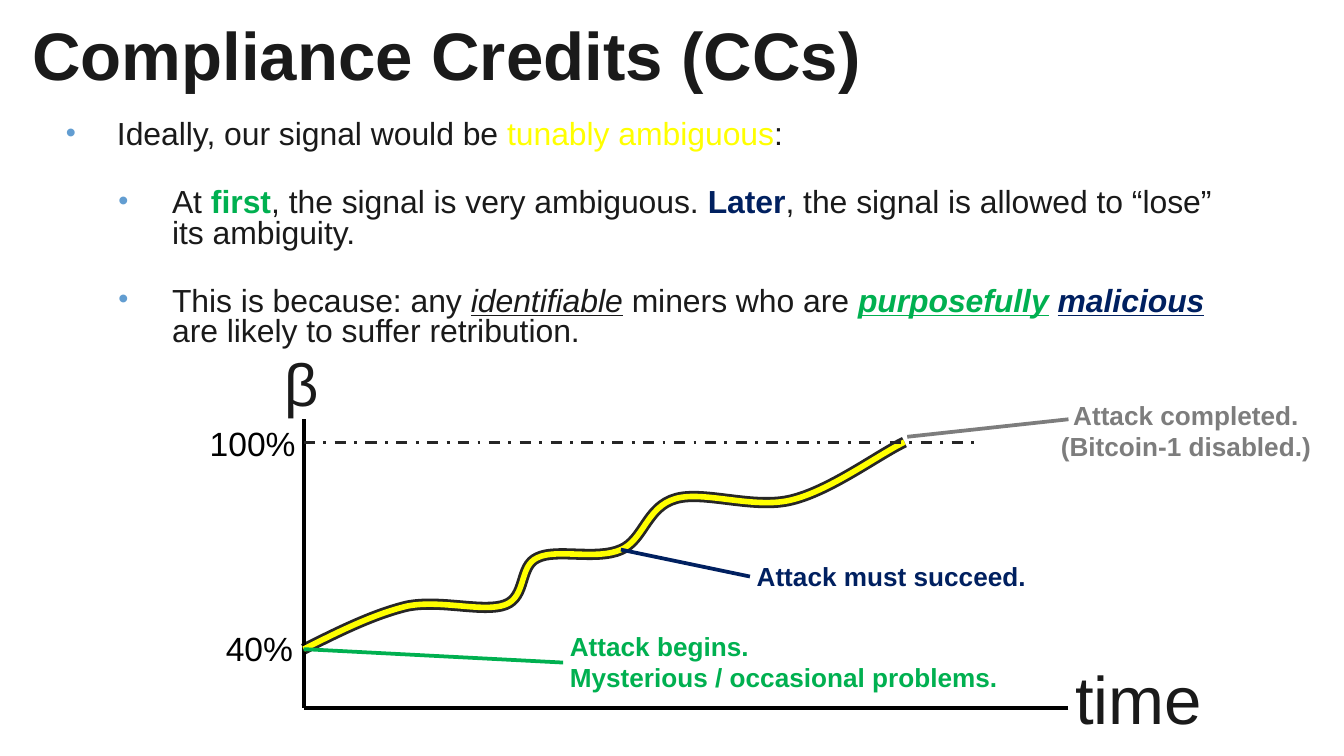
import pptx
import pptx.util
import pptx.dml.color
import pptx.enum.dml
import pptx.enum.shapes
import pptx.enum.text
from lxml import etree
from pptx.util import Inches, Pt

ALIGN = pptx.enum.text.PP_ALIGN
ANCHOR = pptx.enum.text.MSO_ANCHOR
DASH = pptx.enum.dml.MSO_LINE.DASH_DOT
A = "{http://schemas.openxmlformats.org/drawingml/2006/main}"


class Theme:
    font = "Arial"
    ink, black, dash = "1A1A1A", "000000", "262626"
    green, navy, gray = "00B050", "002060", "7D7D7D"
    yellow, dot = "FFFF00", "629DD1"
    title, beta, body, tick, note = 36, 32, 17.1, 18, 14


def rgb(code):
    return pptx.dml.color.RGBColor.from_string(code)


def style(font, size, color, bold=False):
    font.name, font.size, font.bold = Theme.font, Pt(size), bold
    font.color.rgb = rgb(color)


def setup(frame, anchor=ANCHOR.TOP, wrap=True):
    """Give a text frame its insets, anchor and wrapping."""
    frame.margin_left = frame.margin_right = Inches(0.05)
    frame.margin_top = frame.margin_bottom = Inches(0.05)
    frame.auto_size = pptx.enum.text.MSO_AUTO_SIZE.NONE
    frame.vertical_anchor, frame.word_wrap = anchor, wrap


def place(shape, box):
    shape.left, shape.top, shape.width, shape.height = map(Inches, box)


def label(slide, box, text, size, color, bold=False, align=ALIGN.LEFT,
          anchor=ANCHOR.TOP, wrap=False):
    frame = slide.shapes.add_textbox(*map(Inches, box)).text_frame
    setup(frame, anchor, wrap)
    para = frame.paragraphs[0]
    para.text, para.alignment = text, align
    style(para.font, size, color, bold)


def line(slide, start, end, color, width=2, dash=None):
    kind = pptx.enum.shapes.MSO_CONNECTOR.STRAIGHT
    link = slide.shapes.add_connector(kind, *map(Inches, start + end))
    link.line.color.rgb, link.line.width = rgb(color), Pt(width)
    if dash:
        link.line.dash_style = dash
    etree.SubElement(link._element.spPr, A + "effectLst")


def curve(slide, points, color, width):
    """Draw a Bezier path: a start, then two handles and an end per arc."""
    spots = [(Inches(x), Inches(y)) for x, y in points]
    maker = slide.shapes.build_freeform(*spots[0])
    maker.add_line_segments(spots[1:], close=False)
    shape = maker.convert_to_shape()
    shape.shadow.inherit = False
    shape.fill.background()
    shape.line.color.rgb, shape.line.width = rgb(color), Pt(width)
    steps = list(shape._element.iter(A + "lnTo"))
    trail = steps[0].getparent()
    for i in range(0, len(steps), 3):
        arc = etree.SubElement(trail, A + "cubicBezTo")
        for step in steps[i:i + 3]:
            arc.append(step[0])
            trail.remove(step)


def heading(slide, box):
    shape = slide.shapes.title
    place(shape, box)
    setup(shape.text_frame, ANCHOR.BOTTOM)
    para = shape.text_frame.paragraphs[0]
    para.text, para.alignment = "Compliance Credits (CCs)", ALIGN.LEFT
    style(para.font, Theme.title, Theme.ink, True)


def bullet(para, level):
    para.level = level
    para.line_spacing = 0.8
    props = para._p.get_or_add_pPr()
    left, hang = ((0.38, 0.38), (0.79, 0.4))[level]
    props.set("marL", str(Inches(left)))
    props.set("indent", str(-Inches(hang)))
    tint = etree.SubElement(props, A + "buClr")
    etree.SubElement(tint, A + "srgbClr", val=Theme.dot)
    etree.SubElement(props, A + "buSzPct", val="90000")
    etree.SubElement(props, A + "buFont", typeface=Theme.font)
    etree.SubElement(props, A + "buChar", char="•")


def points(slide, box):
    """Fill the body list; marks are b, i and u for bold, italic, underline."""
    shape = slide.placeholders[1]
    place(shape, box)
    frame = shape.text_frame
    setup(frame)
    ink, green, navy = Theme.ink, Theme.green, Theme.navy
    items = [
        (0, [("Ideally, our signal would be ", ink, ""),
             ("tunably ambiguous", Theme.yellow, ""), (":", ink, "")]),
        (1, [("At ", ink, ""), ("first", green, "b"),
             (", the signal is very ambiguous. ", ink, ""),
             ("Later", navy, "b"),
             (", the signal is allowed to “lose” its ambiguity.", ink, "")]),
        (1, [("This is because: any ", ink, ""), ("identifiable", ink, "iu"),
             (" ", ink, "i"), ("miners who are ", ink, ""),
             ("purposefully", green, "biu"), (" ", ink, "i"),
             ("malicious", navy, "biu"),
             (" are likely to suffer retribution.", ink, "")]),
    ]
    for i, (level, runs) in enumerate(items):
        para = frame.add_paragraph() if i else frame.paragraphs[0]
        para.space_before = Pt(20 if i else 0)
        bullet(para, level)
        style(para.font, Theme.body, ink)
        for text, color, marks in runs:
            run = para.add_run()
            run.text = text
            style(run.font, Theme.body, color, "b" in marks)
            run.font.italic, run.font.underline = "i" in marks, "u" in marks


def graph(slide, box):
    left, top, wide, high = box

    def at(x, y):
        return left + x, top + y

    def note(x, y, w, h, text, size, color, **more):
        label(slide, (*at(x, y), w, h), text, size, color, **more)

    full, low = 0.17, 1.71
    trail = [at(x, y) for x, y in [
        (0, low), (0.26, 1.58), (0.52, 1.45), (0.77, 1.39),
        (1.02, 1.34), (1.34, 1.44), (1.5, 1.38),
        (1.66, 1.32), (1.6, 1.09), (1.74, 1.03),
        (1.88, 0.96), (2.18, 1.05), (2.36, 0.97),
        (2.53, 0.9), (2.55, 0.65), (2.77, 0.59),
        (2.98, 0.53), (3.35, 0.67), (3.63, 0.6),
        (3.92, 0.53), (4.28, 0.26), (4.47, full)]]
    curve(slide, trail, Theme.dash, 6)
    line(slide, at(0, 0), at(0, high), Theme.black)
    line(slide, at(wide, high), at(0, high), Theme.black)
    note(wide, 2.08, 1.28, 0.34, "time", Theme.title, Theme.ink,
         anchor=ANCHOR.BOTTOM, wrap=True)
    note(-0.63, -0.3, 1.23, 0.34, "β", Theme.beta, Theme.ink,
         align=ALIGN.CENTER, anchor=ANCHOR.BOTTOM, wrap=True)
    curve(slide, trail, Theme.yellow, 3)
    line(slide, at(0, full), at(5.01, full), Theme.dash, 1.5, DASH)
    note(-0.75, -0.02, 0.75, 0.4, "100%", Theme.tick, Theme.black)
    note(-0.63, 1.5, 0.61, 0.4, "40%", Theme.tick, Theme.black)

    line(slide, at(4.49, 0.13), at(wide, 0), Theme.gray)
    note(5.58, -0.2, 1.97, 0.57, "Attack completed.\v(Bitcoin-1 disabled.)",
         Theme.note, Theme.gray, bold=True, align=ALIGN.CENTER)
    line(slide, at(0, low), at(1.93, 1.81), Theme.green)
    note(1.93, 1.52, 3.3, 0.57,
         "Attack begins.\vMysterious / occasional problems.",
         Theme.note, Theme.green, bold=True)
    note(3.32, 1, 2.11, 0.34, "Attack must succeed.",
         Theme.note, Theme.navy, bold=True)
    line(slide, at(2.36, 0.97), at(3.32, 1.17), Theme.navy)


def main():
    deck = pptx.Presentation()
    deck.slide_width = Inches(10)
    deck.slide_height = deck.slide_width * 9 // 16
    slide = deck.slides.add_slide(deck.slide_layouts[1])
    heading(slide, (0.19, -0.41, 9, 1.16))
    points(slide, (0.44, 0.85, 8.79, 1.9))
    graph(slide, (2.26, 3.12, 5.69, 2.15))
    deck.save("out.pptx")


if __name__ == "__main__":
    main()
